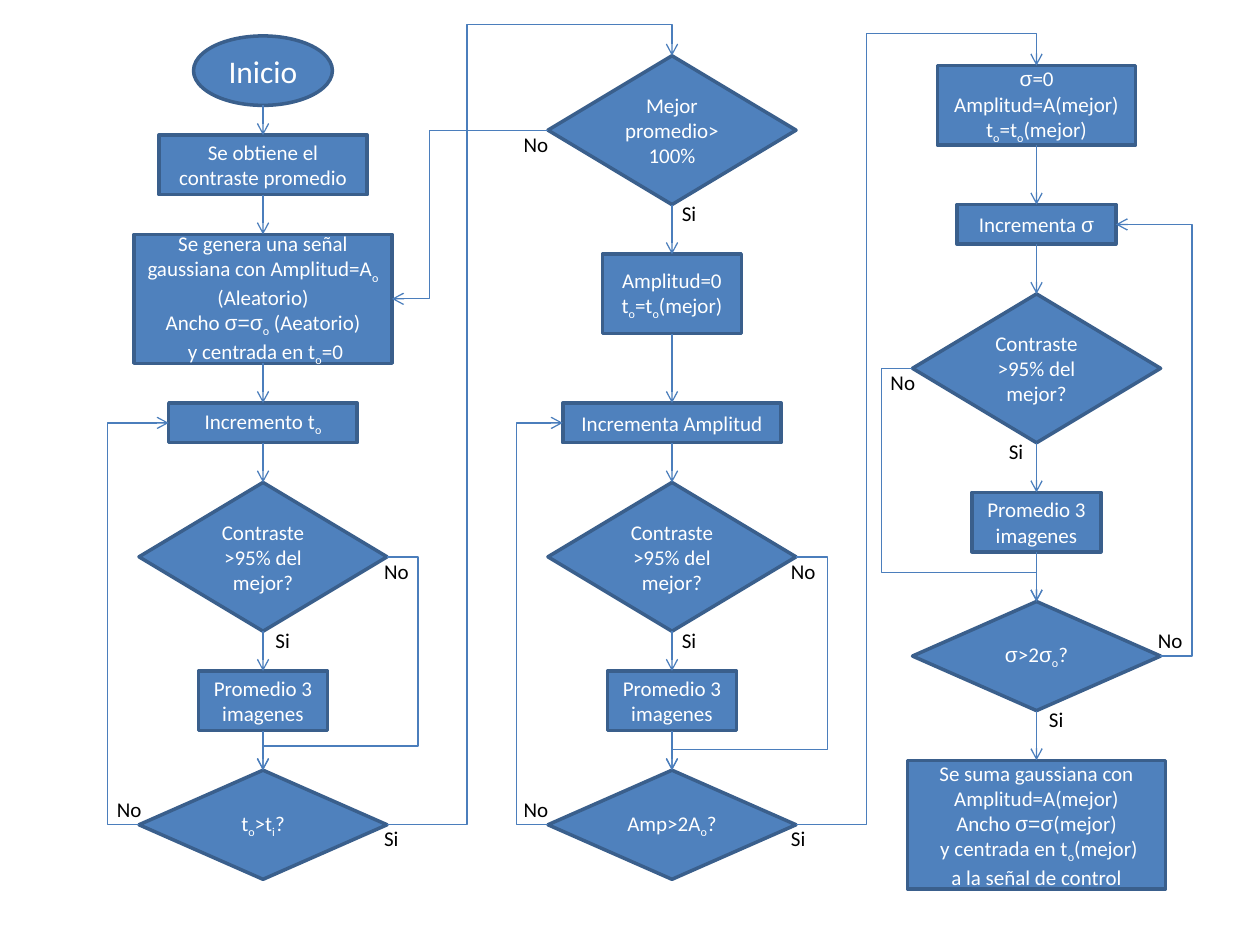
from dataclasses import dataclass
from itertools import groupby

from lxml.etree import SubElement
from pptx import Presentation
from pptx.dml.color import RGBColor
from pptx.enum.shapes import MSO_CONNECTOR as CONN, MSO_SHAPE as SHAPE
from pptx.enum.text import MSO_ANCHOR as ANCHOR, MSO_AUTO_SIZE as FIT, PP_ALIGN as ALIGN
from pptx.oxml.ns import qn
from pptx.util import Pt


@dataclass(frozen=True)
class Theme:
    """Colours, fonts and sizes of the flowchart."""
    fill: str = "4F81BD"
    border: str = "3A5F8C"
    arrow: str = "4B7EBC"
    light: str = "FFFFFF"
    dark: str = "000000"
    font: str = "Calibri"
    greek: str = "Arial"
    body: float = 12
    start: float = 18
    border_width: float = 2
    arrow_width: float = 0.75


THEME = Theme()
UNIT = 5.67          # grid step, points
ORIGIN = 20.55       # top of grid row 0, points
COLUMNS = (150.3, 384, 592.3)
TOP, LEFT, BOTTOM, RIGHT = range(4)
BOX, STEP, TEST, OVAL = (SHAPE.RECTANGLE, SHAPE.FLOWCHART_PROCESS,
                         SHAPE.FLOWCHART_DECISION, SHAPE.OVAL)
CONTRAST = (TEST, 25, 15, "Contraste\n>95% del mejor?")
AVERAGE = (STEP, 13, 6, "Promedio 3 imagenes")

# name: (column, grid row, (shape, width, height, text)); sizes in grid steps
# "_" lowers the next character, braces hold text in the Greek font
NODES = {
    "start": (0, 0, (OVAL, 14, 7, "Inicio")),
    "measure": (0, 10, (BOX, 21, 6, "Se obtiene el contraste promedio")),
    "generate": (0, 20, (BOX, 26, 13,
                 "Se genera una señal gaussiana con Amplitud=A_o (Aleatorio)\n"
                 "Ancho {σ=σ}_o (Aeatorio)\n y centrada en t_o=0")),
    "inc_t": (0, 37, (BOX, 19, 4, "Incremento t_o")),
    "contrast_t": (0, 45, CONTRAST),
    "average_t": (0, 64, AVERAGE),
    "end_t": (0, 74, (TEST, 25, 11, "t_o>t_i?")),
    "best": (1, 2, (TEST, 25, 15, "Mejor promedio>100%")),
    "reset_a": (1, 22, (BOX, 14, 8, "Amplitud=0\nt_o=t_o(mejor)")),
    "inc_a": (1, 37, (BOX, 22, 4, "Incrementa Amplitud")),
    "contrast_a": (1, 45, CONTRAST),
    "average_a": (1, 64, AVERAGE),
    "end_a": (1, 74, (TEST, 25, 11, "Amp>2A_o?")),
    "reset_s": (2, 3, (BOX, 20, 8, "{σ}=0\nAmplitud=A(mejor)\nt_o=t_o(mejor)")),
    "inc_s": (2, 17, (BOX, 16, 4, "Incrementa {σ}")),
    "contrast_s": (2, 26, CONTRAST),
    "average_s": (2, 46, AVERAGE),
    "end_s": (2, 57, (TEST, 25, 11, "{σ}>2{σ}_o?")),
    "add": (2, 73, (BOX, 26, 13,
            "Se suma gaussiana con Amplitud=A(mejor)\nAncho {σ=σ}(mejor)\n"
            " y centrada en t_o(mejor)\na la señal de control")),
}

# (from, side, to, side, x of the vertical run, y of the last level run)
BENDS = [
    ("contrast_t", RIGHT, "average_t", "end_t", 239, 426.3),
    ("end_t", RIGHT, None, "best", 267, 14),
    ("contrast_a", RIGHT, "average_a", "end_a", 473, 428.3),
    ("end_a", RIGHT, None, "reset_s", 495.3, 19.2),
    ("contrast_s", LEFT, "average_s", "end_s", 503.6, 327),
]
BENDS = [(a, side, b, TOP, x, y) for a, side, _, b, x, y in BENDS] + [
    ("end_t", LEFT, "inc_t", LEFT, 61.3, None),
    ("best", LEFT, "generate", RIGHT, 245.6, None),
    ("end_a", LEFT, "inc_a", LEFT, 295.2, None),
    ("end_s", RIGHT, "inc_s", RIGHT, 681.3, None),
]

# text: (left in points, grid row)
LABELS = {
    "No": [(212.4, 52), (444.9, 52), (501.8, 33), (59.7, 76), (292.2, 76),
           (654.6, 59), (292.2, 9)],
    "Si": [(150.3, 59), (382.5, 59), (569.4, 40), (212.4, 79), (444.9, 79),
           (592.3, 67), (382.5, 16)],
}


def rgb(code):
    """Turn a hex code into a colour."""
    return RGBColor.from_string(code)


def row_y(row):
    """Give the height of a grid row in points."""
    return ORIGIN + row * UNIT


def split_runs(line):
    """Split marked-up text into (text, font, lowered) runs."""
    chars, font, low = [], THEME.font, False
    for ch in line:
        if ch in "{}":
            font = THEME.greek if ch == "{" else THEME.font
        elif ch == "_":
            low = True
        else:
            chars.append((ch, font, low))
            low = False
    for (font, low), part in groupby(chars, key=lambda c: c[1:]):
        yield "".join(c[0] for c in part), font, low


def write(tf, text, size=THEME.body, color=THEME.dark, align=ALIGN.LEFT):
    """Fill a text frame, one paragraph a line."""
    for i, line in enumerate(text.split("\n")):
        p = tf.add_paragraph() if i else tf.paragraphs[0]
        p.alignment = align
        for part, font, low in split_runs(line):
            r = p.add_run()
            r.text = part
            r.font.name, r.font.size = font, Pt(size)
            r.font.color.rgb = rgb(color)
            if low:
                r.font._element.set("baseline", "-25000")


def add_node(s, column, row, kind, width, height, text):
    """Add a flowchart shape centred on its column."""
    w, h = width * UNIT, height * UNIT
    sp = s.shapes.add_shape(kind, Pt(COLUMNS[column] - w / 2), Pt(row_y(row)), Pt(w), Pt(h))
    sp.shadow.inherit = False
    sp.fill.solid()
    sp.fill.fore_color.rgb = rgb(THEME.fill)
    sp.line.color.rgb = rgb(THEME.border)
    sp.line.width = Pt(THEME.border_width)
    tf = sp.text_frame
    tf.word_wrap, tf.vertical_anchor = True, ANCHOR.MIDDLE
    write(tf, text, size=THEME.start if kind == OVAL else THEME.body,
          color=THEME.light, align=ALIGN.CENTER)
    return sp


def site(sp, side):
    """Give the middle of one side of a shape."""
    fx, fy = ((0.5, 0), (0, 0.5), (0.5, 1), (1, 0.5))[side]
    return int(sp.left + sp.width * fx), int(sp.top + sp.height * fy)


def add_arrow(s, a, a_side, b, b_side, kind=CONN.STRAIGHT):
    """Join two shapes with an arrow."""
    cx = s.shapes.add_connector(kind, *site(a, a_side), *site(b, b_side))
    if a.auto_shape_type != OVAL:
        cx.begin_connect(a, a_side)
    cx.end_connect(b, b_side)
    cx.line.color.rgb = rgb(THEME.arrow)
    cx.line.width = Pt(THEME.arrow_width)
    SubElement(cx.line._get_or_add_ln(), qn("a:tailEnd"), type="arrow")
    SubElement(cx._element.spPr, qn("a:effectLst"))
    return cx


def add_bend(s, a, a_side, b, b_side, x, y):
    """Join two shapes with an elbow arrow that runs through x and y."""
    cx = add_arrow(s, a, a_side, b, b_side, kind=CONN.ELBOW)
    stops = [(Pt(x) - cx.begin_x) / (cx.end_x - cx.begin_x)]
    if y is not None:
        stops.append((Pt(y) - cx.begin_y) / (cx.end_y - cx.begin_y))
    geom = cx._element.spPr.find(qn("a:prstGeom"))
    geom.set("prst", f"bentConnector{len(stops) + 2}")
    guides = geom.find(qn("a:avLst"))
    if guides is None:
        guides = SubElement(geom, qn("a:avLst"))
    for i, stop in enumerate(stops, 1):
        SubElement(guides, qn("a:gd"), name=f"adj{i}", fmla=f"val {round(stop * 100000)}")


def add_label(s, text, x, row):
    """Add the answer beside a branch."""
    width = 28.8 if text == "No" else 23
    tf = s.shapes.add_textbox(Pt(x), Pt(row_y(row)), Pt(width), Pt(21.6)).text_frame
    tf.word_wrap, tf.auto_size = False, FIT.SHAPE_TO_FIT_TEXT
    write(tf, text)


def main():
    """Build the flowchart slide."""
    prs = Presentation()
    prs.slide_width, prs.slide_height = Pt(720), Pt(540)
    s = prs.slides.add_slide(prs.slide_layouts[6])
    nodes = {name: add_node(s, col, row, *look) for name, (col, row, look) in NODES.items()}
    for _, names in groupby(NODES, key=lambda name: NODES[name][0]):
        chain = list(names)
        for a, b in zip(chain, chain[1:]):
            add_arrow(s, nodes[a], BOTTOM, nodes[b], TOP)
    for a, a_side, b, b_side, x, y in BENDS:
        add_bend(s, nodes[a], a_side, nodes[b], b_side, x, y)
    for text, places in LABELS.items():
        for x, row in places:
            add_label(s, text, x, row)
    prs.save("out.pptx")


main()
